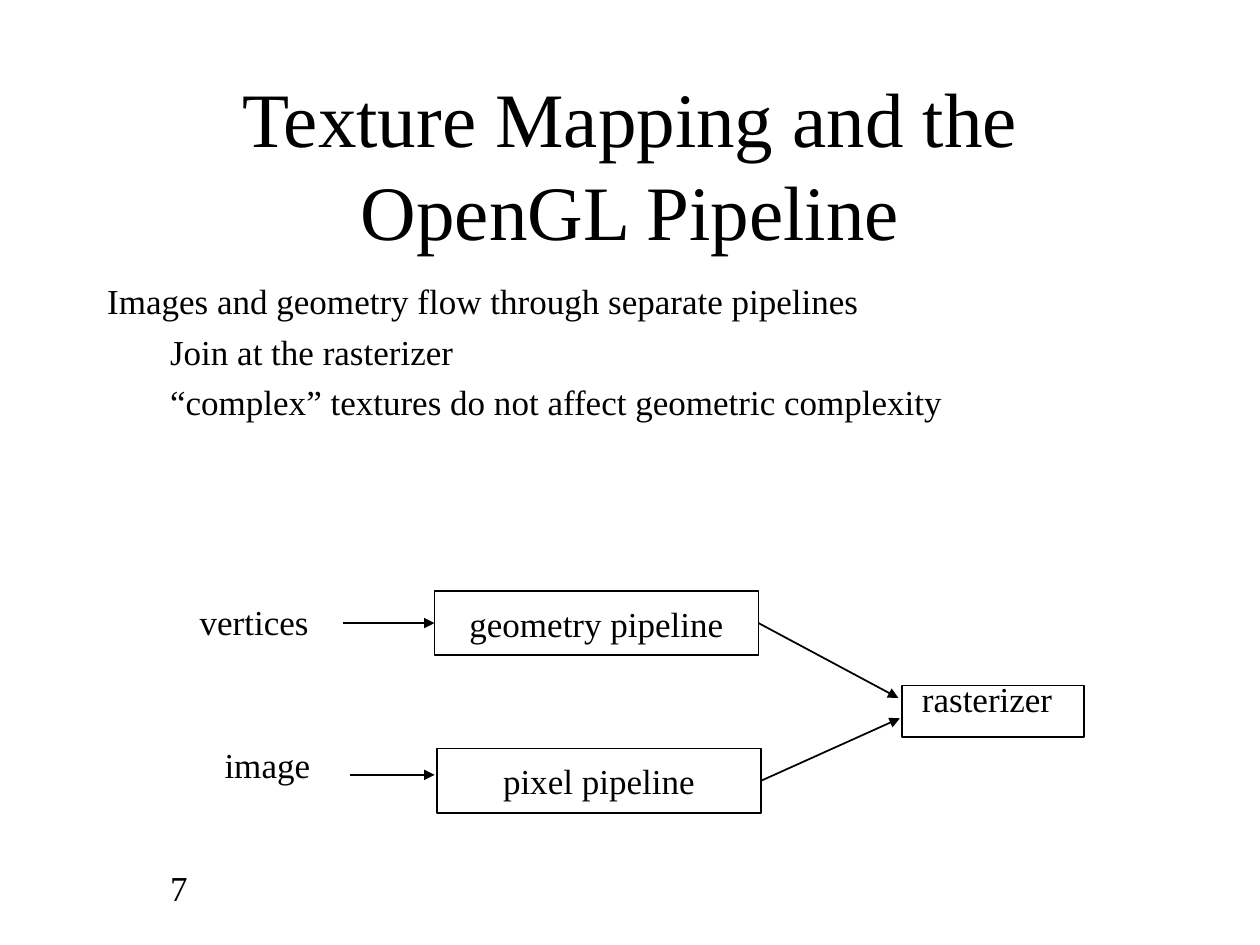
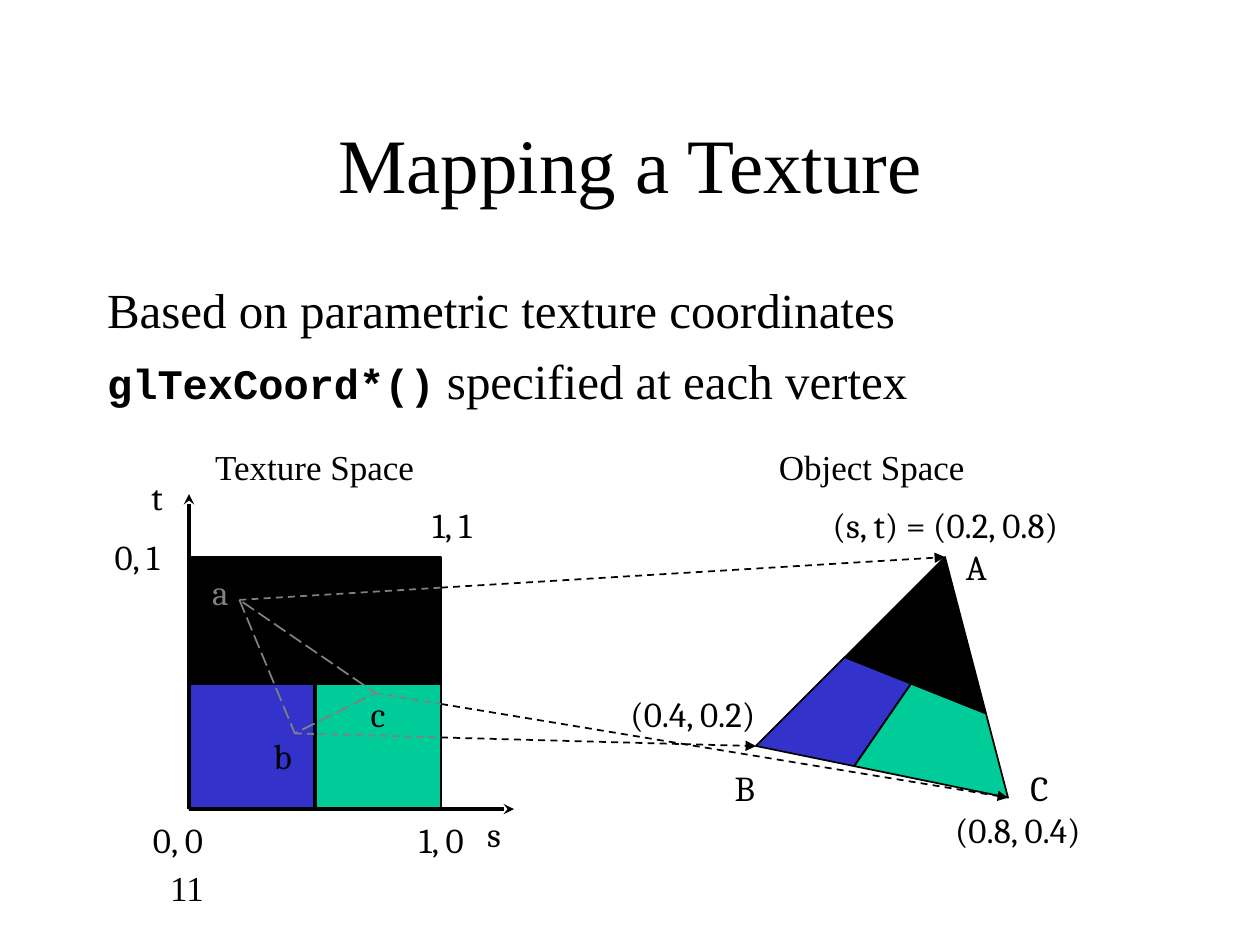
from pptx import Presentation
from pptx.dml.color import RGBColor
from pptx.enum.dml import MSO_LINE
from pptx.enum.shapes import MSO_CONNECTOR, MSO_SHAPE
from pptx.enum.text import MSO_ANCHOR, MSO_AUTO_SIZE, PP_ALIGN
from pptx.oxml.ns import qn
from pptx.util import Cm, Pt
from lxml import etree

RECT = MSO_SHAPE.RECTANGLE
STRAIGHT = MSO_CONNECTOR.STRAIGHT
DASH, LONG_DASH = MSO_LINE.DASH, MSO_LINE.LONG_DASH
MIDDLE, TOP = MSO_ANCHOR.MIDDLE, MSO_ANCHOR.TOP
LEFT, CENTER = PP_ALIGN.LEFT, PP_ALIGN.CENTER
GROW = MSO_AUTO_SIZE.SHAPE_TO_FIT_TEXT

BLACK, WHITE, GREY, BLUE, GREEN = "000000", "FFFFFF", "808080", "3333CC", "00CC99"
SERIF, MATH, CODE = "Times New Roman", "Cambria", "Courier New"
LABEL_SIZE, TITLE_SIZE = 20, 44
INDENT = 1.27
LABEL_HEIGHT = 1.1
RIGHT_SIDE, LEFT_SIDE = 3, 1

# ---- Content: pipeline slide (all lengths in cm) ----
PIPELINE_TITLE = "Texture Mapping and the OpenGL Pipeline"
PIPELINE_POINTS = [  # level, runs of (text, font, size, bold)
    (0, [("Images and geometry flow through separate pipelines", SERIF, 20, False)]),
    (1, [("Join at the rasterizer", SERIF, 20, False)]),
    (1, [("“complex” textures do not affect geometric complexity", SERIF, 20, False)]),
]
STAGES = {  # text, left, top, width, height
    "geometry": ("geometry pipeline", 8.76, 11.91, 6.53, 1.3),
    "pixel": ("pixel pipeline", 8.81, 15.09, 6.53, 1.3),
    "rasterizer": ("", 18.19, 13.82, 3.66, 1.04),
}
STAGE_LABELS = [  # text, left, top, width
    ("vertices", 3.53, 11.99, 3.19),
    ("image", 4.02, 14.86, 2.74),
    ("rasterizer", 18.09, 13.54, 3.62),
]
FLOWS = [  # from, to, stage joined at the start, stage joined at the end
    ((6.91, 12.56), (8.76, 12.56), None, "geometry"),
    ((7.06, 15.62), (8.76, 15.62), None, None),
    ((15.29, 12.56), (18.11, 14.07), "geometry", None),
    ((15.34, 15.74), (18.14, 14.48), "pixel", None),
]

# ---- Content: mapping slide ----
MAPPING_TITLE = "Mapping a Texture"
MAPPING_POINTS = [
    (0, [("Based on parametric texture coordinates", SERIF, 28, False)]),
    (0, [("glTexCoord*()", CODE, 24, True),
         (" specified at each vertex", SERIF, 28, False)]),
]
TEXTURE_ORIGIN, TEXTURE_SIDE = (3.81, 16.31), 5.08
AXIS_ENDS = [(3.81, 9.96), (10.36, 16.31)]
TEXTURE_CELLS = [  # s, t of the lower left corner, width, height, colour
    (0, 0, 0.5, 0.5, BLUE),
    (0.5, 0, 0.5, 0.5, GREEN),
    (0, 0.5, 1, 0.5, BLACK),
]
TEXTURE_VERTICES = [(0.2, 0.83), (0.42, 0.3), (0.74, 0.46)]
OBJECT_VERTICES = [(19.05, 11.23), (15.24, 15.04), (20.32, 16.08)]
SPACE_NAMES = [
    ("Texture Space", 4.06, 8.86, 4.57),
    ("Object Space", 15.44, 8.86, 4.27),
]
MATH_LABELS = [  # text, left, top, width, colour
    ("s", 9.53, 16.26, 0.86, BLACK),
    ("t", 2.79, 9.47, 0.76, BLACK),
    ("1, 1", 8.26, 10.03, 1.7, BLACK),
    ("0, 1", 1.91, 10.67, 1.7, BLACK),
    ("0, 0", 2.74, 16.38, 1.7, BLACK),
    ("1, 0", 8.05, 16.38, 1.7, BLACK),
    ("(s, t) = (0.2, 0.8)", 16.33, 10.03, 5.46, BLACK),
    ("(0.4, 0.2)", 12.32, 13.84, 3.3, BLACK),
    ("(0.8, 0.4)", 18.87, 16.18, 3.3, BLACK),
    ("A", 19.2, 10.87, 0.97, BLACK),
    ("B", 14.53, 15.32, 0.97, BLACK),
    ("C", 20.47, 15.32, 0.97, BLACK),
    ("a", 3.99, 11.38, 0.91, GREY),
    ("b", 5.23, 14.68, 0.94, BLACK),
    ("c", 7.19, 13.84, 0.86, BLACK),
]


# ---- Shared helpers ----
def rgb(hex_colour):
    return RGBColor.from_string(hex_colour)


def set_font(font, name, size, colour=BLACK, bold=False):
    font.name, font.size, font.bold = name, Pt(size), bold
    font.color.rgb = rgb(colour)


def set_line(line, colour, width=1, dash=None):
    line.color.rgb = rgb(colour)
    line.width = Pt(width)
    if dash:
        line.dash_style = dash


def finish_shape(shape, fill, colour=BLACK, dash=None):
    shape.shadow.inherit = False
    if fill:
        shape.fill.solid()
        shape.fill.fore_color.rgb = rgb(fill)
    else:
        shape.fill.background()
    set_line(shape.line, colour, dash=dash)
    return shape


def add_box(slide, left, top, width, height, fill):
    box = slide.shapes.add_shape(RECT, Cm(left), Cm(top), Cm(width), Cm(height))
    return finish_shape(box, fill)


def add_polygon(slide, points, fill=None, colour=BLACK, dash=None):
    corners = [(Cm(x), Cm(y)) for x, y in points]
    builder = slide.shapes.build_freeform(*corners[0])
    builder.add_line_segments(corners[1:], close=True)
    return finish_shape(builder.convert_to_shape(), fill, colour, dash)


def add_line(slide, start, end, colour=BLACK, width=1, dash=None, arrow=None):
    line = slide.shapes.add_connector(
        STRAIGHT, *(Cm(value) for value in (*start, *end)))
    set_line(line.line, colour, width, dash)
    if arrow:
        etree.SubElement(line.line._get_or_add_ln(), qn("a:tailEnd"), type=arrow)
    etree.SubElement(line._element.spPr, qn("a:effectLst"))
    return line


def add_text(slide, left, top, width, height, anchor=TOP):
    frame = slide.shapes.add_textbox(
        Cm(left), Cm(top), Cm(width), Cm(height)).text_frame
    frame.word_wrap = True
    frame.vertical_anchor = anchor
    return frame


def write(paragraph, text, font=SERIF, size=LABEL_SIZE, colour=BLACK, align=CENTER):
    paragraph.text = text
    paragraph.alignment = align
    set_font(paragraph.font, font, size, colour)


def add_label(slide, text, left, top, width, colour=BLACK, font=SERIF):
    frame = add_text(slide, left, top, width, LABEL_HEIGHT)
    frame.word_wrap = False
    frame.auto_size = GROW
    write(frame.paragraphs[0], text, font, colour=colour)


def between(start, end, share):
    return tuple(a + (b - a) * share for a, b in zip(start, end))


def start_slide(deck, title, points, gap, number):
    slide = deck.slides.add_slide(deck.slide_layouts[6])
    # Title
    heading = add_text(slide, 1.91, 1.7, 21.59, 3.18, MIDDLE)
    write(heading.paragraphs[0], title, size=TITLE_SIZE)
    # Points
    body = add_text(slide, 1.91, 5.51, 21.59, 11.43)
    for index, (level, runs) in enumerate(points):
        paragraph = body.add_paragraph() if index else body.paragraphs[0]
        paragraph._p.get_or_add_pPr().set("marL", str(Cm(INDENT * level)))
        paragraph.space_before = Pt(gap if index else 0)
        for text, name, size, bold in runs:
            run = paragraph.add_run()
            run.text = text
            if len(runs) > 1:
                set_font(run.font, name, size, bold=bold)
        if len(runs) == 1:
            set_font(paragraph.font, name, size, bold=bold)
    # Slide number
    footer = add_text(slide, 1.91, 17.35, 5.28, 1.27).paragraphs[0]
    footer._p.get_or_add_pPr().set("marL", str(Cm(INDENT)))
    write(footer, number, align=LEFT)
    return slide


# ---- Slides ----
def build_pipeline(deck):
    slide = start_slide(deck, PIPELINE_TITLE, PIPELINE_POINTS, 5, "7")
    boxes = {}
    for name, (text, *place) in STAGES.items():
        boxes[name] = add_box(slide, *place, WHITE)
        if text:
            frame = boxes[name].text_frame
            frame.word_wrap = False
            frame.vertical_anchor = MIDDLE
            write(frame.paragraphs[0], text)
    for label in STAGE_LABELS:
        add_label(slide, *label)
    for start, end, source, target in FLOWS:
        flow = add_line(slide, start, end, arrow="triangle")
        if source:
            flow.begin_connect(boxes[source], RIGHT_SIDE)
        if target:
            flow.end_connect(boxes[target], LEFT_SIDE)


def texture_point(s, t):
    x, y = TEXTURE_ORIGIN
    return x + s * TEXTURE_SIDE, y - t * TEXTURE_SIDE


def build_mapping(deck):
    slide = start_slide(deck, MAPPING_TITLE, MAPPING_POINTS, 7, "11")

    # Texture square, its dividers and axes
    for s, t, width, height, colour in TEXTURE_CELLS:
        left, top = texture_point(s, t + height)
        add_box(slide, left, top, width * TEXTURE_SIDE, height * TEXTURE_SIDE, colour)
    for start, end in [((0, 0.5), (1, 0.5)), ((0.5, 0.5), (0.5, 0))]:
        add_line(slide, texture_point(*start), texture_point(*end), width=2)
    for end in AXIS_ENDS:
        add_line(slide, TEXTURE_ORIGIN, end, width=2, arrow="stealth")

    # Textured triangle, cut where the cells meet
    a, b, c = OBJECT_VERTICES
    left_cut, right_cut = between(a, b, 0.53), between(a, c, 0.65)
    centre, base_cut = between(left_cut, right_cut, 0.47), between(b, c, 0.39)
    add_polygon(slide, [left_cut, centre, base_cut, b], BLUE)
    add_polygon(slide, [centre, right_cut, c, base_cut], GREEN)
    add_polygon(slide, [left_cut, a, right_cut], BLACK)

    # Sampled triangle and links, grey inside the texture and black outside
    samples = [texture_point(*vertex) for vertex in TEXTURE_VERTICES]
    add_polygon(slide, samples, colour=GREY, dash=LONG_DASH)
    texture_right = texture_point(1, 0)[0]
    for sample, vertex in zip(samples, OBJECT_VERTICES):
        share = (texture_right - sample[0]) / (vertex[0] - sample[0])
        edge = between(sample, vertex, share)
        add_line(slide, sample, edge, GREY, dash=DASH)
        add_line(slide, edge, vertex, dash=DASH, arrow="triangle")

    # Labels
    for name in SPACE_NAMES:
        add_label(slide, *name)
    for label in MATH_LABELS:
        add_label(slide, *label, font=MATH)


def main():
    deck = Presentation()
    deck.slide_width, deck.slide_height = Cm(25.4), Cm(19.05)
    build_pipeline(deck)
    build_mapping(deck)
    deck.save("out.pptx")


if __name__ == "__main__":
    main()
